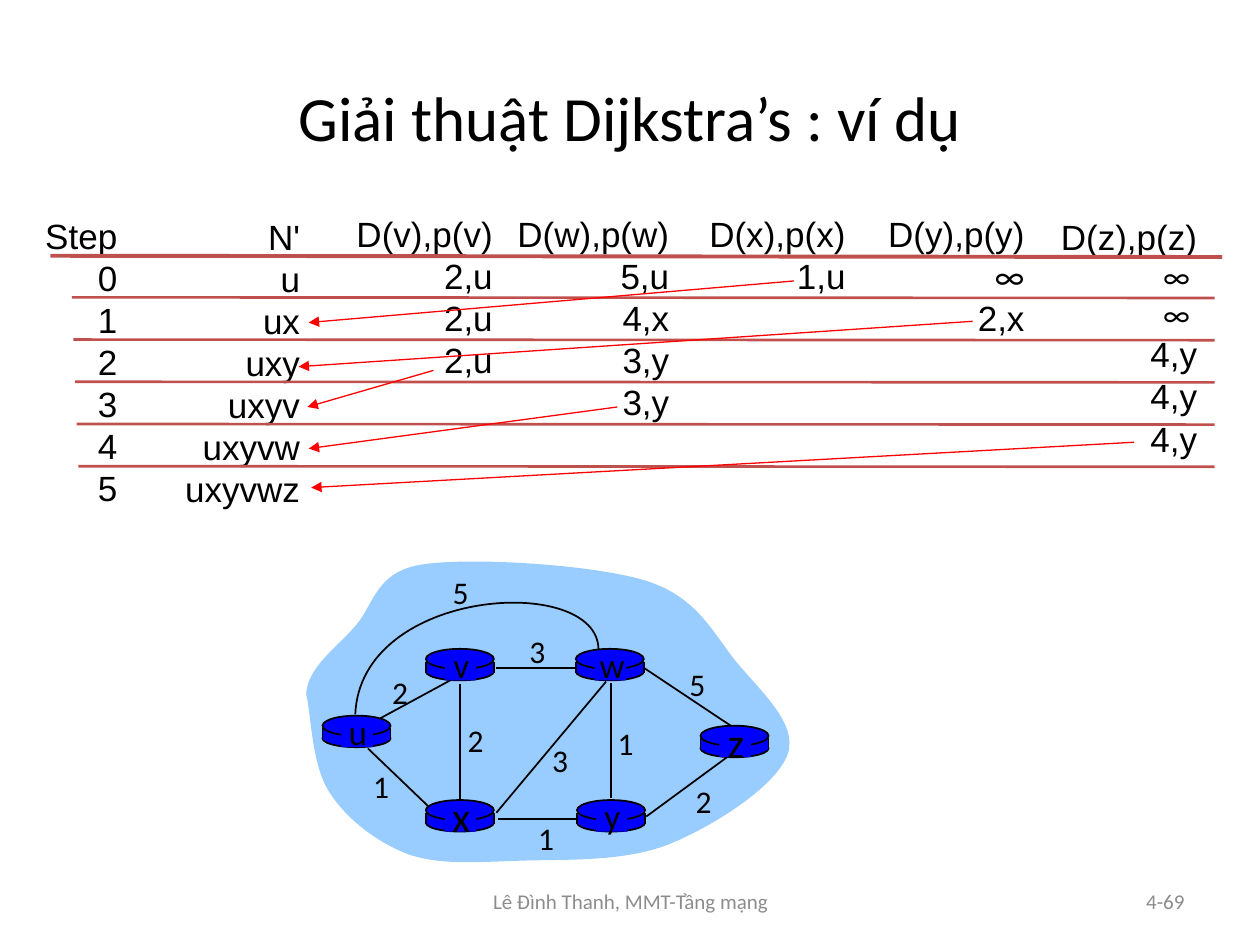
from lxml import etree
from pptx import Presentation
from pptx.dml.color import RGBColor
from pptx.enum import shapes, text
from pptx.oxml import ns
from pptx.util import Inches, Pt

theme = {
    "ink": "000000", "muted": "8C8C8C", "rule": "C0504D", "arrow": "FF0000",
    "cloud": "99CCFF", "router": "0000FF",
    "sans": "Arial", "body": "Calibri",
    "title": 36, "table": 20, "infinity": 18, "weight": 18, "footer": 12,
    "heavy": 2.25, "medium": 1.5, "edge": 1, "thin": 0.75,
}
right, center = text.PP_ALIGN.RIGHT, text.PP_ALIGN.CENTER

presentation = Presentation()
presentation.slide_width, presentation.slide_height = Inches(10), Inches(7.5)
slide = presentation.slides.add_slide(presentation.slide_layouts[6])
column = presentation.slide_width / 100
row = presentation.slide_height / 75


def add_text(box, lines, alignment, size, font="body", color="ink", wrap=False, anchor="TOP"):
    left, top, width, height = box
    shape = slide.shapes.add_textbox(
        round(left * column), round(top * row), round(width * column), round(height * row))
    frame_format = {
        "word_wrap": wrap,
        "vertical_anchor": text.MSO_ANCHOR[anchor],
        "auto_size": text.MSO_AUTO_SIZE.NONE if wrap else text.MSO_AUTO_SIZE.SHAPE_TO_FIT_TEXT,
    }
    for name, value in frame_format.items():
        setattr(shape.text_frame, name, value)
    for index, line in enumerate(lines):
        content, line_size, line_font = line if isinstance(line, tuple) else (line, size, font)
        paragraphs = shape.text_frame.paragraphs
        paragraph = shape.text_frame.add_paragraph() if index else paragraphs[0]
        paragraph.alignment = alignment
        run = paragraph.add_run()
        run.text = content
        for name, value in {"size": Pt(line_size), "name": theme[line_font]}.items():
            setattr(run.font, name, value)
        run.font.color.rgb = RGBColor.from_string(theme[color])


def add_line(start, end, color, width, arrow=False):
    connector = slide.shapes.add_connector(
        shapes.MSO_CONNECTOR.STRAIGHT,
        round(start[0] * column), round(start[1] * row),
        round(end[0] * column), round(end[1] * row))
    connector.line.color.rgb = RGBColor.from_string(theme[color])
    connector.line.width = Pt(theme[width])
    if arrow:
        etree.SubElement(connector.line._get_or_add_ln(), ns.qn("a:tailEnd"), type="triangle")
    etree.SubElement(connector._element.spPr, ns.qn("a:effectLst"))


add_text((34.2, 69.5, 31.7, 4), ["Lê Đình Thanh, MMT-Tầng mạng"], center,
         theme["footer"], color="muted", wrap=True, anchor="MIDDLE")
add_text((71.7, 69.5, 23.3, 4), ["4-69"], right,
         theme["footer"], color="muted", wrap=True, anchor="MIDDLE")
add_text((5, 3, 90, 12.5), ["Giải thuật Dijkstra’s : ví dụ"], center,
         theme["title"], wrap=True, anchor="MIDDLE")

step_columns = [
    (2.6, 16.5, 7.7, ["Step", "0", "1", "2", "3", "4", "5"]),
    (13.7, 16.6, 11.1, ["N'", "u", "ux", "uxy", "uxyv", "uxyvw", "uxyvwz"]),
    (27.3, 16.4, 12.8, ["D(v),p(v)", "2,u", "2,u", "2,u"]),
    (39.9, 16.4, 14.2, ["D(w),p(w)", "5,u", "4,x", "3,y", "3,y"]),
    (55.3, 16.4, 12.8, ["D(x),p(x)", "1,u"]),
    (69.5, 16.4, 12.8, ["D(y),p(y)", ("∞", theme["table"], "body"), "2,x"]),
    (83.2, 16.6, 12.8, ["D(z),p(z)"] + [("∞ ", theme["infinity"], "body")] * 2 + ["4,y"] * 3),
]
for left, top, width, lines in step_columns:
    add_text((left, top, width, 1 + 3.33 * len(lines)), lines, right, theme["table"], "sans")

add_line((4, 20.3), (97, 20.4), "rule", "heavy")
for index in range(5):
    height = 23.6 + 3.35 * index
    add_line((5.7 + 0.13 * index, height), (96.4, height + 0.05), "rule", "medium")

cloud = [
    (24.3, 55.1), (24.4, 53), (26.6, 51.5), (28.1, 49.8), (29.7, 48.1), (29.7, 45.4),
    (33.5, 44.8), (37.4, 44.2), (47.1, 44.8), (51.3, 46.1), (55.4, 47.4), (56.6, 50.3),
    (58.5, 52.6), (60.4, 54.9), (63.4, 57.5), (62.5, 59.9), (61.6, 62.4), (56.6, 65.6),
    (53.1, 67), (49.6, 68.4), (45, 68.2), (41.6, 68.3), (38.1, 68.4), (35, 68.7),
    (32.4, 67.8), (29.8, 66.8), (27.4, 64.9), (26.1, 62.8), (24.7, 60.6), (24.7, 56.6),
    (24.3, 55.1),
]
long_edge = [(47.5, 51.5), (47.4, 45.5), (28.6, 46.6), (28.2, 56.7)]
for points, closed in [(cloud, True), (long_edge, False)]:
    corners = [(round(x * column), round(y * row)) for x, y in points]
    builder = slide.shapes.build_freeform(*corners[0])
    builder.add_line_segments(corners[1:], close=closed)
    shape = builder.convert_to_shape()
    shape.shadow.inherit = False
    segments = list(shape._element.iter(ns.qn("a:lnTo")))
    for first in range(0, len(points) - 1, 3):
        curve = etree.Element(ns.qn("a:cubicBezTo"))
        segments[first].addprevious(curve)
        for segment in segments[first:first + 3]:
            curve.append(segment[0])
            segment.getparent().remove(segment)
    if closed:
        shape.fill.solid()
        shape.fill.fore_color.rgb = RGBColor.from_string(theme["cloud"])
        shape.line.fill.background()
    else:
        shape.fill.background()
        shape.line.color.rgb = RGBColor.from_string(theme["ink"])
        shape.line.width = Pt(theme["edge"])

edges = [
    ((30.2, 57), (36.1, 53.8)), ((48.5, 54.2), (48.5, 63.3)), ((36.5, 54.3), (36.5, 63.6)),
    ((39.4, 64.5), (48.1, 54.1)), ((51.3, 64.8), (57.7, 60.1)), ((45.8, 65), (39.5, 65)),
    ((34, 64), (29.2, 59.4)), ((45.7, 53), (39.4, 53)), ((58, 57.6), (51.1, 53)),
]
for start, end in edges:
    add_line(start, end, "ink", "edge")

routers = [
    ("u", 25.6, 56.8, 20), ("y", 45.8, 63.5, 20), ("x", 33.8, 63.5, 24),
    ("w", 45.7, 51.5, 20), ("v", 33.8, 51.5, 20), ("z", 55.6, 57.6, 24),
]
router_parts = [
    ("OVAL", 0, 1.1, 5.4, 1.4), ("RECTANGLE", 0, 1, 5.4, 0.9),
    ("OVAL", 0, 0, 5.4, 1.6), ("RECTANGLE", 1.5, 0.2, 2.5, 2.3),
]
for label, left, top, size in routers:
    for kind, across, down, width, height in router_parts:
        shape = slide.shapes.add_shape(
            shapes.MSO_SHAPE[kind], round((left + across) * column), round((top + down) * row),
            round(width * column), round(height * row))
        shape.shadow.inherit = False
        shape.fill.solid()
        shape.fill.fore_color.rgb = RGBColor.from_string(theme["router"])
        if kind == "OVAL":
            shape.line.color.rgb = RGBColor.from_string(theme["ink"])
            shape.line.width = Pt(theme["edge"])
        else:
            shape.line.fill.background()
    for side in (left, left + 5.4):
        add_line((side, top + 1), (side, top + 1.9), "ink", "edge")
    box_height = 1 + size / 6
    add_text((left + 0.9, top + 1.25 - box_height / 2, 3.8, box_height), [label], center, size)

weights = [
    ("2", 30, 52.9), ("2", 36, 56.7), ("1", 28.5, 60.4), ("3", 42.7, 58.3), ("1", 41.6, 64.5),
    ("1", 47.9, 57), ("2", 54.1, 61.6), ("5", 53.6, 52.3), ("3", 40.9, 49.7), ("5", 34.8, 45),
]
for weight, left, top in weights:
    add_text((left, top, 3.5, 4), [weight], center, theme["weight"])

choices = [
    ((63, 22.3), (24.5, 25.6)), ((77.2, 25.5), (23.7, 29.1)), ((34.4, 29.4), (24.4, 32.3)),
    ((49, 32.3), (24.5, 35.6)), ((90, 35.1), (24.7, 38.7)),
]
for start, end in choices:
    add_line(start, end, "arrow", "thin", arrow=True)

presentation.save("out.pptx")
